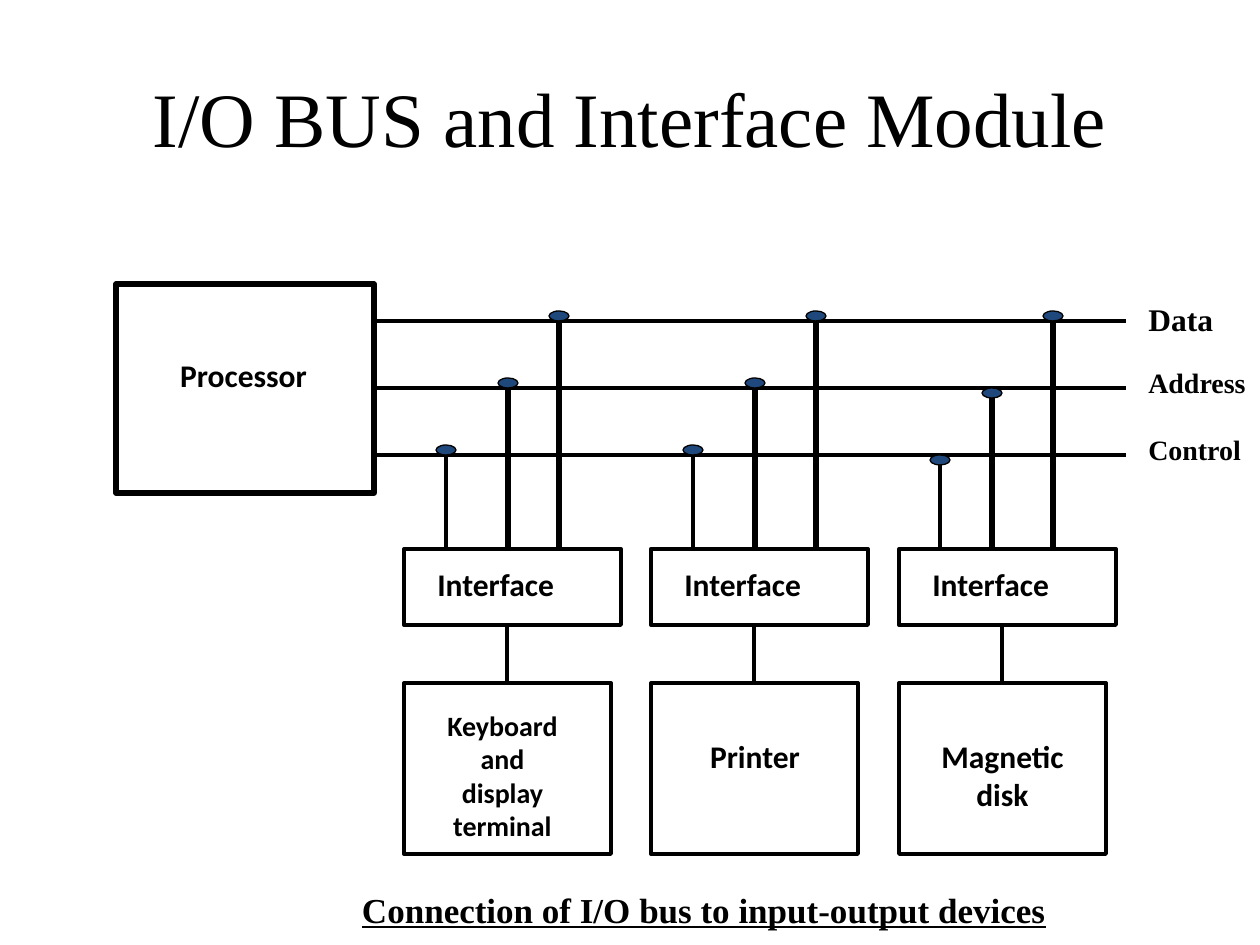
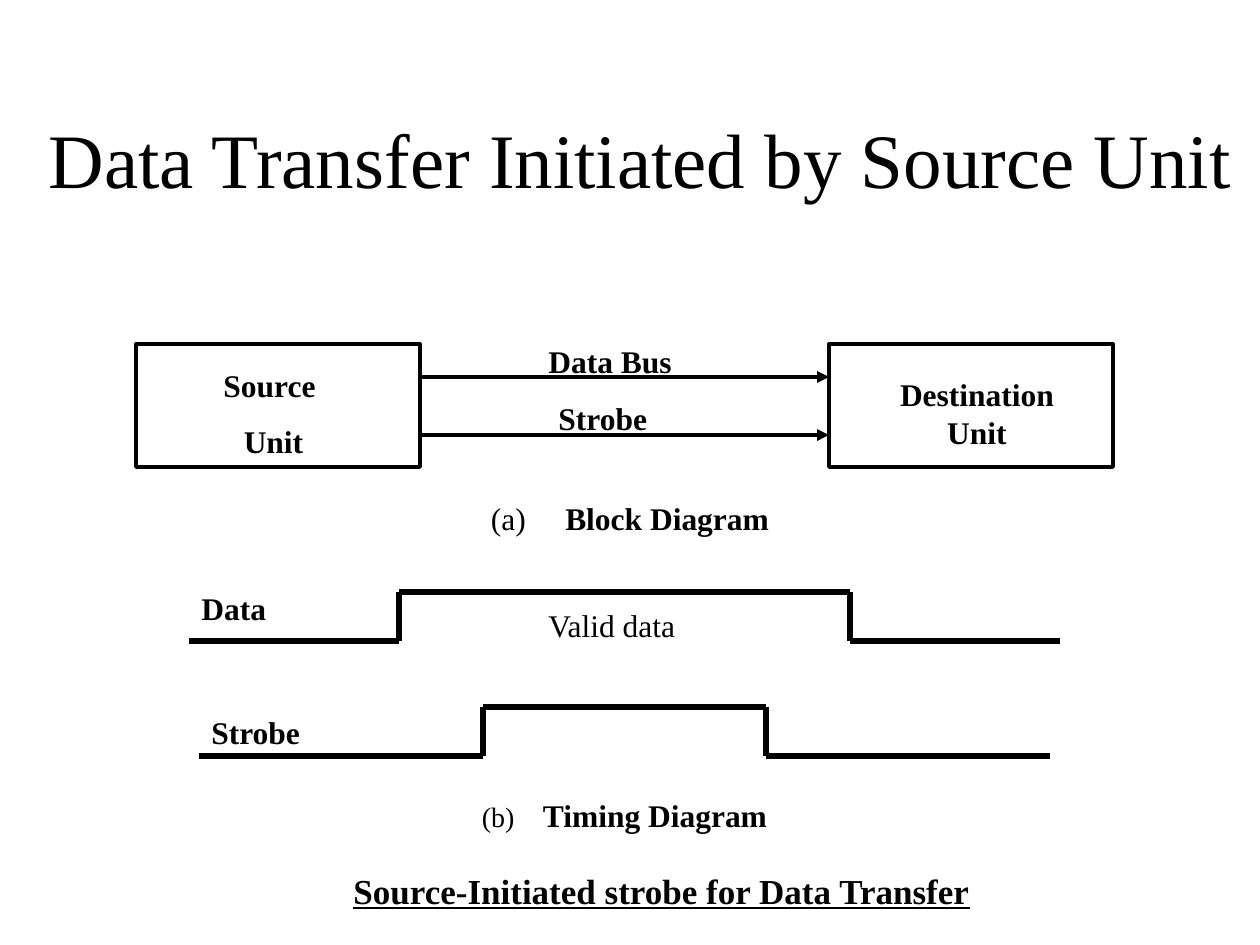
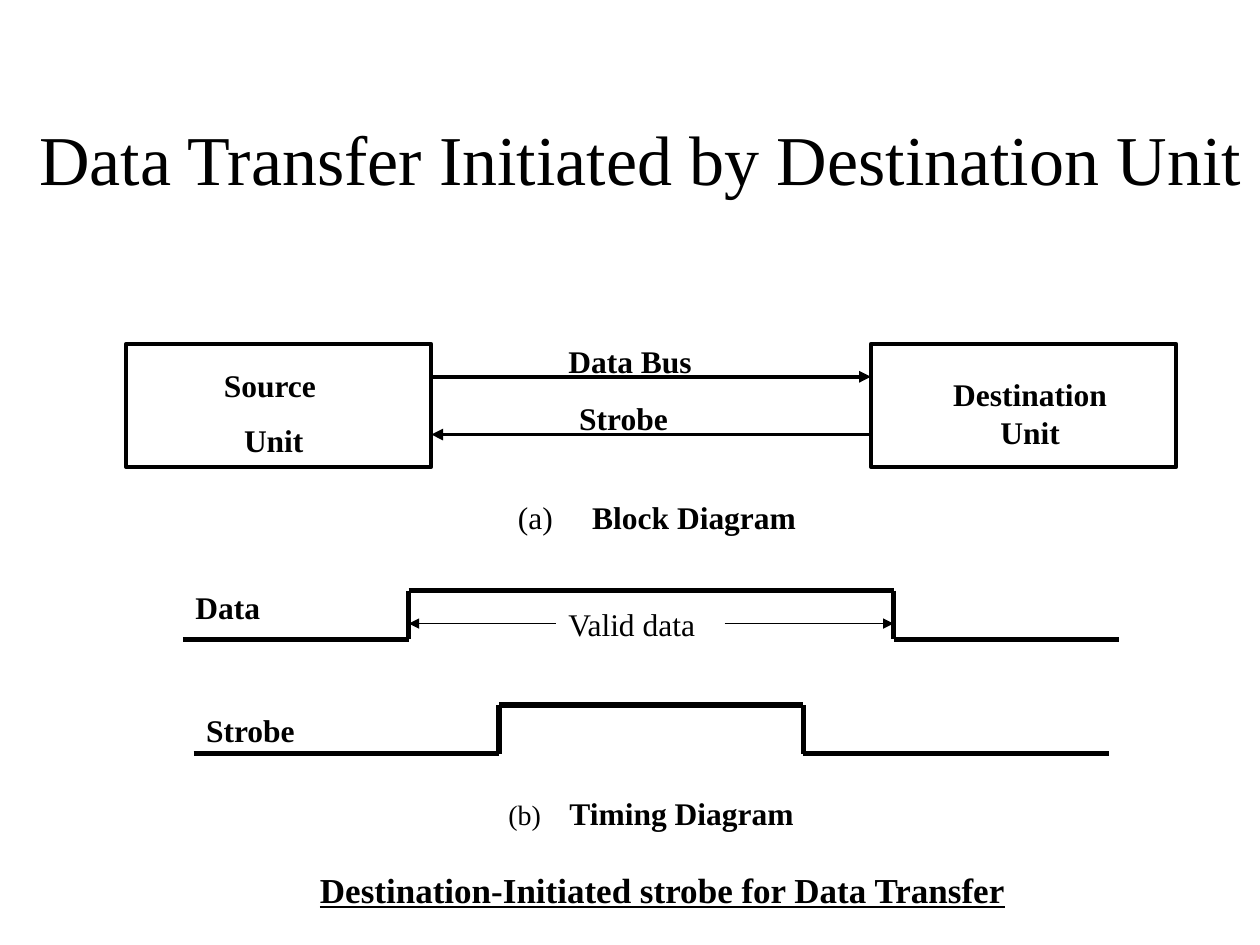
from lxml.etree import SubElement
from pptx import Presentation
from pptx.dml.color import RGBColor
from pptx.enum.shapes import MSO_CONNECTOR, MSO_SHAPE
from pptx.enum.text import MSO_ANCHOR, MSO_AUTO_SIZE, PP_ALIGN
from pptx.oxml.ns import qn
from pptx.util import Emu, Pt

SCALE = 914400 / 126
BLACK, NAVY = "000000", "1F497D"
SERIF, SANS = "Times New Roman", "Calibri"
LEFT, CENTER = PP_ALIGN.LEFT, PP_ALIGN.CENTER
ROW = 50

BUS_TITLE = ("I/O BUS and Interface Module", 44, (63, 38, 1134, 158))
BUS_CAPTION = ("Connection of I/O bus to input-output devices", (251, 882, 906, 54))
PROCESSOR = (116, 284, 258, 209)
PROCESSOR_LABEL = (146, 350, 195, ROW)
BUS_END = 1126
BUSES = [
    ("Data", 321, 18, (1136, 294, 103, ROW)),
    ("Address", 388, 16, (1136, 359, 124, 47)),
    ("Control", 455, 16, (1136, 426, 124, 47)),
]
TAP_WIDTHS = (3, 3, 2.25)
INTERFACE_TOP, INTERFACE_WIDTH, INTERFACE_HEIGHT = 549, 217, 76
DEVICE_TOP, DEVICE_WIDTH, DEVICE_HEIGHT = 683, 207, 171
DOT_WIDTH, DOT_HEIGHT = 20, 10
DEVICES = [
    ("Keyboard and display terminal", 16, (425, 702, 155, 147), 404, (559, 508, 446), (0, 0, 0)),
    ("Printer", 18, (683, 731, 144, ROW), 651, (816, 755, 693), (0, 0, 0)),
    ("Magnetic disk", 18, (920, 731, 165, 88), 899, (1053, 992, 940), (0, 10, 10)),
]

TRANSFER_TITLE_BOX = (21, 63, 1239, 189)
TRANSFERS = [
    {
        "title": "Data Transfer Initiated by Source Unit", "size": 44,
        "caption": "Source-Initiated strobe for Data Transfer",
        "caption_box": (315, 863, 693, 54),
        "left": 136, "stretch": (1, 1), "arrows": [(420, 829, 377), (420, 829, 435)],
        "valid_arrows": [],
    },
    {
        "title": "Data Transfer Initiated by Destination Unit", "size": 40,
        "caption": "Destination-Initiated strobe for Data Transfer",
        "caption_box": (262, 862, 801, 54),
        "left": 126, "stretch": (1.075, 0.995), "arrows": [(420, 829, 377), (829, 420, 435)],
        "valid_arrows": [(536, 399, 625), (693, 850, 625)],
    },
]
ORIGIN_X, ORIGIN_Y = 136, 336
UNITS = [(136, 344, 284, 123), (829, 344, 284, 123)]
WAVES = [((189, 399, 850, 1060), 641, 592), ((199, 483, 766, 1050), 756, 707)]
TRANSFER_LABELS = [
    ("Data Bus", (536, 336, 199, ROW), LEFT, True),
    ("Strobe", (546, 393, 168, ROW), LEFT, True),
    ("Destination Unit", (872, 369, 210, 88), CENTER, True),
    ("Source \nUnit", (158, 360, 231, 107), CENTER, True),
    ("Valid data", (536, 600, 220, ROW), LEFT, False),
    ("Data", (189, 583, 199, ROW), LEFT, True),
    ("Strobe", (199, 707, 189, ROW), LEFT, True),
]
DIAGRAM_NAMES = [
    ("(a)", 18, SERIF, 1800, "Block Diagram", (420, 493, 420, ROW)),
    ("(b)", 16, SANS, 1220, "Timing Diagram", (451, 790, 347, ROW)),
]


def px(value):
    return Emu(round(value * SCALE))


def color(hex_code):
    return RGBColor.from_string(hex_code)


def style(font, size, family=SERIF, bold=False, underline=False):
    font.size, font.name, font.bold = Pt(size), family, bold
    font.underline = underline
    font.color.rgb = color(BLACK)


def add_slide(title, size, box):
    slide = deck.slides.add_slide(deck.slide_layouts[5])
    heading = slide.shapes.title
    heading.left, heading.top, heading.width, heading.height = map(px, box)
    frame = heading.text_frame
    frame.text = title
    frame.word_wrap = True
    frame.auto_size = MSO_AUTO_SIZE.NONE
    frame.vertical_anchor = MSO_ANCHOR.MIDDLE
    frame.paragraphs[0].alignment = CENTER
    style(frame.paragraphs[0].font, size)
    return slide


def add_frame(slide, box):
    frame = slide.shapes.add_textbox(*map(px, box)).text_frame
    frame.word_wrap = True
    frame.auto_size = MSO_AUTO_SIZE.SHAPE_TO_FIT_TEXT
    return frame


def add_label(slide, text, box, size=18, family=SERIF, align=LEFT, bold=True, underline=False):
    frame = add_frame(slide, box)
    frame.text = text
    for paragraph in frame.paragraphs:
        paragraph.alignment = align
        paragraph.space_before = Pt(10)
        style(paragraph.font, size, family, bold, underline)


def add_caption(slide, text, box):
    add_label(slide, text, box, 20, align=CENTER, underline=True)


def add_diagram_name(slide, mark, mark_size, gap_font, gap, name, box):
    paragraph = add_frame(slide, box).paragraphs[0]
    paragraph.alignment = CENTER
    parts = [(mark, mark_size, SERIF, False), (" ", 18, gap_font, False), (name, 18, SERIF, True)]
    for text, size, family, bold in parts:
        run = paragraph.add_run()
        run.text = text
        style(run.font, size, family, bold)
    paragraph.runs[1]._r.get_or_add_rPr().set("spc", str(gap))


def add_outline(slide, box, width=2.25, preset=MSO_SHAPE.RECTANGLE, fill=None):
    outline = slide.shapes.add_shape(preset, *map(px, box))
    outline.shadow.inherit = False
    outline.line.color.rgb = color(BLACK)
    outline.line.width = Pt(width)
    if fill:
        outline.fill.solid()
        outline.fill.fore_color.rgb = color(fill)
    else:
        outline.fill.background()


def add_line(slide, start, end, width=2.25, arrow=False):
    line = slide.shapes.add_connector(MSO_CONNECTOR.STRAIGHT, *map(px, start + end))
    line.line.color.rgb = color(BLACK)
    line.line.width = Pt(width)
    properties = line.element.spPr
    if arrow:
        SubElement(properties.find(qn("a:ln")), qn("a:tailEnd"), type="triangle")
    SubElement(properties, qn("a:effectLst"))


def build_bus():
    slide = add_slide(*BUS_TITLE)
    add_outline(slide, PROCESSOR, 3)
    add_label(slide, "Processor", PROCESSOR_LABEL, family=SANS, align=CENTER)
    for name, y, size, box in BUSES:
        add_line(slide, (PROCESSOR[0] + PROCESSOR[2], y), (BUS_END, y))
        add_label(slide, name, box, size)
    for name, size, label_box, left, taps, drops in DEVICES:
        add_outline(slide, (left, INTERFACE_TOP, INTERFACE_WIDTH, INTERFACE_HEIGHT))
        add_label(slide, "Interface", (left + 21, INTERFACE_TOP + 10, 175, ROW), family=SANS)
        add_outline(slide, (left, DEVICE_TOP, DEVICE_WIDTH, DEVICE_HEIGHT))
        add_label(slide, name, label_box, size, SANS, CENTER)
        stem = left + DEVICE_WIDTH // 2
        add_line(slide, (stem, INTERFACE_TOP + INTERFACE_HEIGHT), (stem, DEVICE_TOP))
        for (_, y, _, _), x, drop, width in zip(BUSES, taps, drops, TAP_WIDTHS):
            add_line(slide, (x, y), (x, INTERFACE_TOP), width)
            dot = (x - DOT_WIDTH / 2, y - DOT_HEIGHT + drop, DOT_WIDTH, DOT_HEIGHT)
            add_outline(slide, dot, 0.75, MSO_SHAPE.OVAL, NAVY)
    add_caption(slide, *BUS_CAPTION)


def build_transfer(transfer):
    slide = add_slide(transfer["title"], transfer["size"], TRANSFER_TITLE_BOX)
    across, down = transfer["stretch"]

    def point(x, y):
        return transfer["left"] + (x - ORIGIN_X) * across, ORIGIN_Y + (y - ORIGIN_Y) * down

    def area(box):
        x, y, width, height = box
        return point(x, y) + (width * across, height)

    for unit in UNITS:
        add_outline(slide, area(unit))
    for arrows, width in ((transfer["arrows"], 2.25), (transfer["valid_arrows"], 0.75)):
        for start, end, y in arrows:
            add_line(slide, point(start, y), point(end, y), width, True)
    for (start, rise, fall, end), low, high in WAVES:
        corners = [(start, low), (rise, low), (rise, high), (fall, high), (fall, low), (end, low)]
        for first, second in zip(corners, corners[1:]):
            add_line(slide, point(*first), point(*second), 3)
    for text, box, align, bold in TRANSFER_LABELS:
        add_label(slide, text, area(box), align=align, bold=bold)
    for *parts, box in DIAGRAM_NAMES:
        add_diagram_name(slide, *parts, area(box))
    add_caption(slide, transfer["caption"], transfer["caption_box"])


deck = Presentation()
deck.slide_width, deck.slide_height = px(1260), px(945)
build_bus()
for transfer in TRANSFERS:
    build_transfer(transfer)
deck.save("out.pptx")
